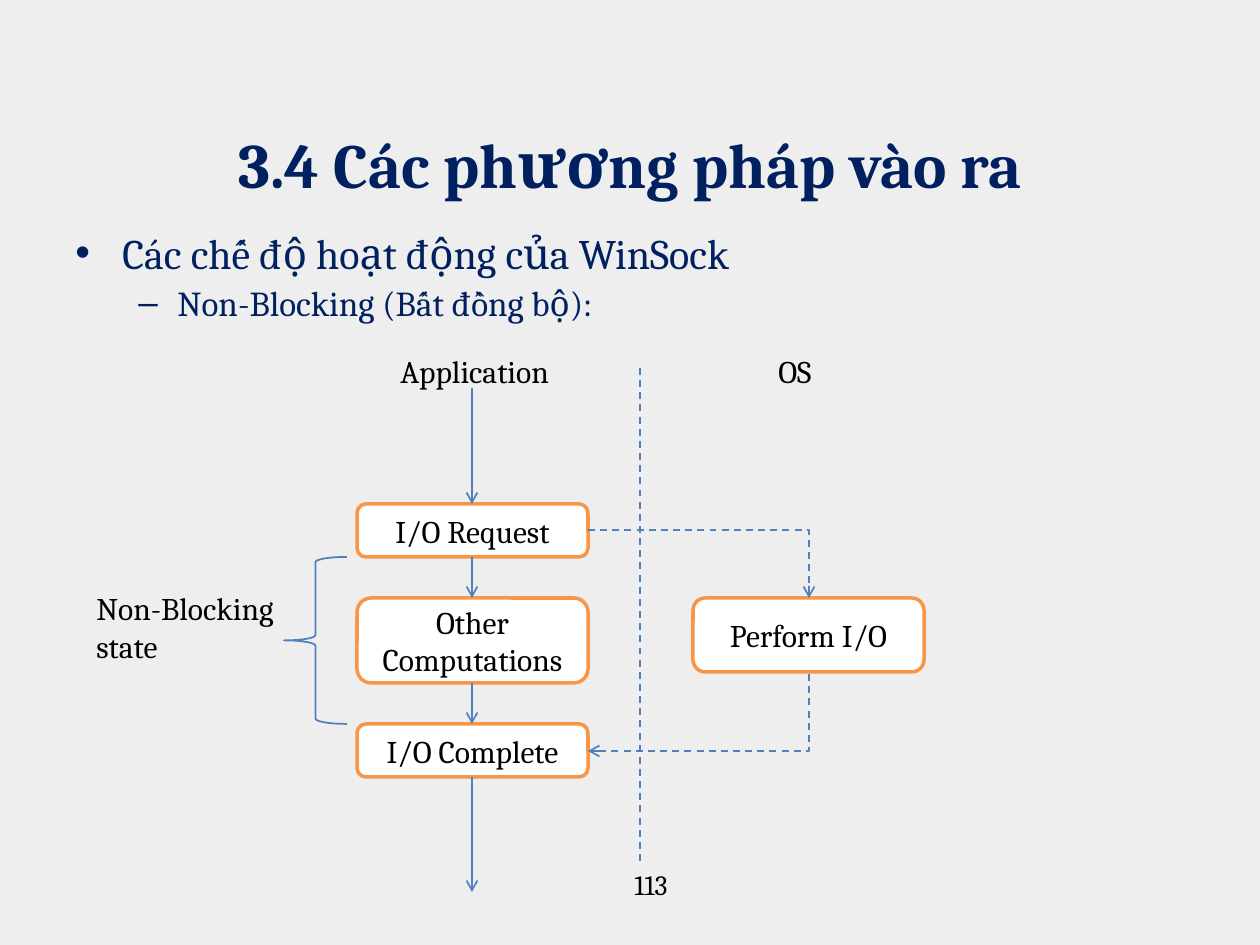
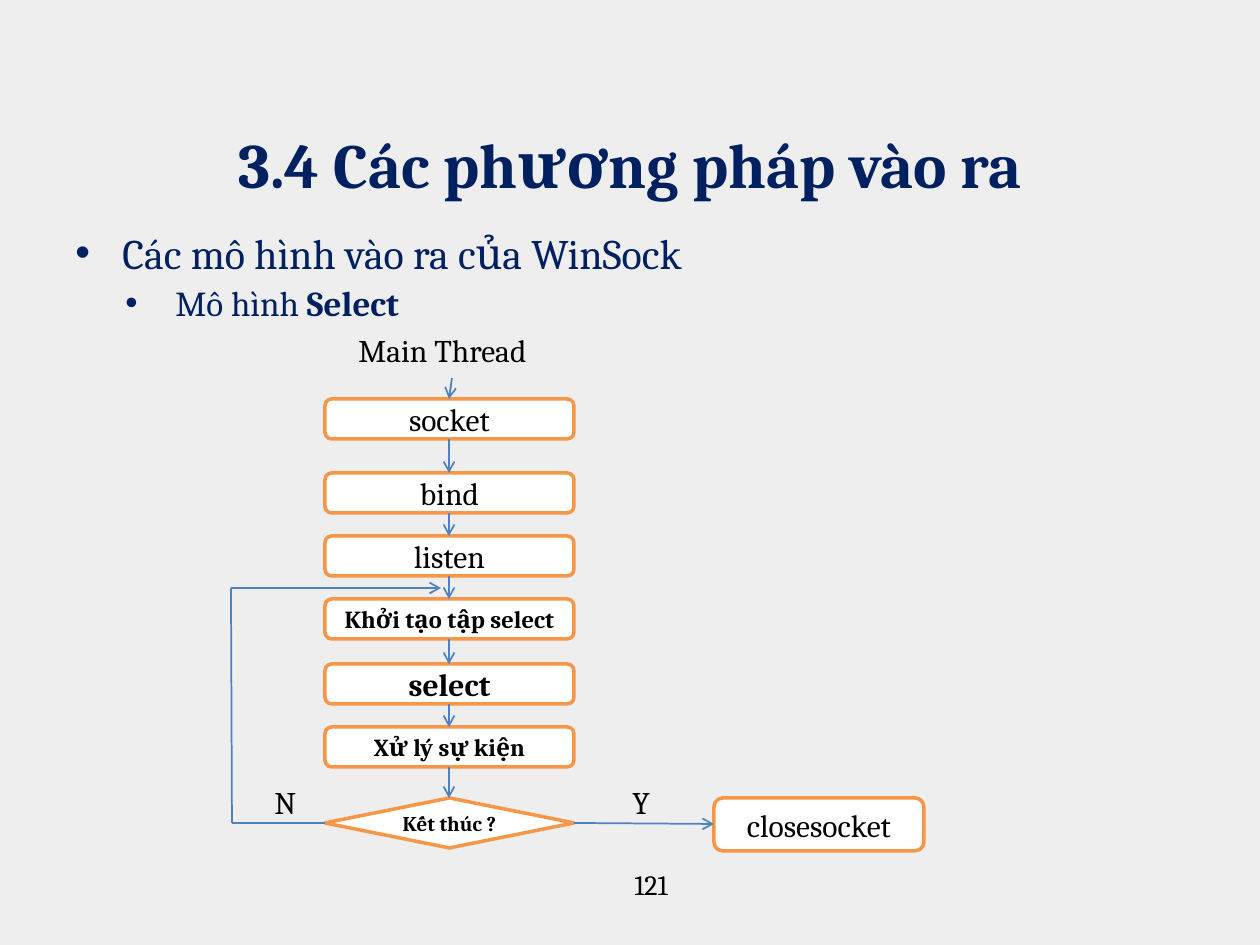
from lxml import etree
from pptx import Presentation
from pptx.dml.color import RGBColor
from pptx.enum.dml import MSO_LINE
from pptx.enum.shapes import MSO_CONNECTOR, MSO_SHAPE
from pptx.enum.text import MSO_ANCHOR, PP_ALIGN
from pptx.oxml.ns import qn
from pptx.util import Pt

PX = 7257  # EMU in one px, 126 px to the inch
FONT = "Cambria"
TITLE = "3.4 Các phương pháp vào ra"
COLORS = {
    "background": "EEEEEE",
    "heading": "002060",
    "text": "000000",
    "box": "FFFFFF",
    "box_line": "F79646",
    "connector": "4F81BD",
}
RGB = {name: RGBColor.from_string(value) for name, value in COLORS.items()}
ROUNDED, DIAMOND, BRACE = MSO_SHAPE.ROUNDED_RECTANGLE, MSO_SHAPE.DIAMOND, MSO_SHAPE.LEFT_BRACE
STRAIGHT, ELBOW = MSO_CONNECTOR.STRAIGHT, MSO_CONNECTOR.ELBOW
LEFT, CENTER = PP_ALIGN.LEFT, PP_ALIGN.CENTER
TOP, MIDDLE, BOTTOM = MSO_ANCHOR.TOP, MSO_ANCHOR.MIDDLE, MSO_ANCHOR.BOTTOM


def write_text(shape, text, size, align=LEFT, anchor=TOP, bold=False, color="text"):
    frame = shape.text_frame
    frame.word_wrap = True
    frame.vertical_anchor = anchor
    frame.text = text
    for paragraph in frame.paragraphs:
        paragraph.alignment = align
        paragraph.font.name = FONT
        paragraph.font.size = Pt(size)
        paragraph.font.bold = bold
        paragraph.font.color.rgb = RGB[color]


def connect(slide, start, end, arrow="tailEnd", dashed=False, kind=STRAIGHT):
    connector = slide.shapes.add_connector(kind, *(n * PX for n in start + end))
    connector.line.color.rgb = RGB["connector"]
    connector.line.width = Pt(1)
    if dashed:
        connector.line.dash_style = MSO_LINE.DASH
    properties = connector._element.spPr
    if kind == ELBOW:  # one bend only
        properties.find(qn("a:prstGeom")).set("prst", "bentConnector2")
    if arrow:
        etree.SubElement(properties.find(qn("a:ln")), qn("a:" + arrow), type="arrow")
    etree.SubElement(properties, qn("a:effectLst"))


# Slide contents: bullets are (runs, size, bullet, margin, indent),
# steps and side boxes are (shape, top, height, text, size, bold)
non_blocking = {
    "number": "113",
    "bullets": [
        (["Các chế độ hoạt động của WinSock"], 24, "•", 47, -47),
        (["Non-Blocking (Bất đồng bộ):"], 20, "–", 102, -39),
    ],
    "column": (357, 231),
    "steps": [
        (ROUNDED, 504, 53, "I/O Request", 18, False),
        (ROUNDED, 598, 85, "Other\nComputations", 18, False),
        (ROUNDED, 724, 53, "I/O Complete", 18, False),
    ],
    "side_column": (693, 231),
    "side_box": (ROUNDED, 598, 74, "Perform I/O", 18, False),
    "labels": [
        (84, 583, 221, 90, "Non-Blocking state"),
        (388, 346, 221, 51, "Application"),
        (766, 346, 116, 51, "OS"),
    ],
    "lines": [
        {"start": (472, 388), "end": (472, 504)},
        {"start": (472, 777), "end": (472, 892)},
        {"start": (640, 368), "end": (640, 861), "arrow": None, "dashed": True},
        {"start": (588, 530), "end": (809, 598), "dashed": True, "kind": ELBOW},
        {"start": (588, 751), "end": (809, 672), "arrow": "headEnd", "dashed": True, "kind": ELBOW},
    ],
}
select_model = {
    "number": "121",
    "bullets": [
        (["Các mô hình vào ra của WinSock"], 24, "•", 47, -47),
        (["Mô hình ", "Select"], 20, "•", 100, -50),
    ],
    "column": (325, 249),
    "steps": [
        (ROUNDED, 399, 40, "socket", 18, False),
        (ROUNDED, 473, 40, "bind", 18, False),
        (ROUNDED, 536, 40, "listen", 18, False),
        (ROUNDED, 599, 40, "Khởi tạo tập select", 14, True),
        (ROUNDED, 664, 40, "select", 18, True),
        (ROUNDED, 727, 40, "Xử lý sự kiện", 14, True),
        (DIAMOND, 798, 50, "Kết thúc ?", 12, True),
    ],
    "side_column": (714, 210),
    "side_box": (ROUNDED, 798, 53, "closesocket", 18, False),
    "labels": [
        (346, 325, 273, 51, "Main Thread"),
        (262, 777, 63, 51, "N"),
        (620, 777, 63, 51, "Y"),
    ],
    "lines": [
        {"start": (452, 378), "end": (449, 399)},
        {"start": (325, 823), "end": (232, 823), "arrow": None},
        {"start": (232, 823), "end": (231, 588), "arrow": None},
        {"start": (231, 588), "end": (441, 588)},
        {"start": (574, 823), "end": (714, 824)},
    ],
}

presentation = Presentation()
presentation.slide_width = 1260 * PX
presentation.slide_height = 945 * PX

for content in (non_blocking, select_model):
    slide = presentation.slides.add_slide(presentation.slide_layouts[6])
    slide.background.fill.solid()
    slide.background.fill.fore_color.rgb = RGB["background"]

    # Title and page number
    title = slide.shapes.add_textbox(63 * PX, 49 * PX, 1134 * PX, 158 * PX)
    write_text(title, TITLE, 36, CENTER, BOTTOM, True, "heading")
    number = slide.shapes.add_textbox(105 * PX, 861 * PX, 1092 * PX, 66 * PX)
    write_text(number, content["number"], 16, CENTER)

    # Bullets
    body = slide.shapes.add_textbox(63 * PX, 221 * PX, 1134 * PX, 624 * PX)
    body.text_frame.word_wrap = True
    for level, (runs, size, bullet, margin, indent) in enumerate(content["bullets"]):
        paragraph = body.text_frame.add_paragraph() if level else body.text_frame.paragraphs[0]
        properties = paragraph._p.get_or_add_pPr()
        properties.set("marL", str(margin * PX))
        properties.set("indent", str(indent * PX))
        etree.SubElement(properties, qn("a:buFont"), typeface="Arial")
        etree.SubElement(properties, qn("a:buChar"), char=bullet)
        paragraph.level = level
        if level:
            paragraph.space_before = Pt(2)
        paragraph.font.name = FONT
        paragraph.font.size = Pt(size)
        paragraph.font.color.rgb = RGB["heading"]
        for index, text in enumerate(runs):
            run = paragraph.add_run()
            run.text = text
            if index:
                run.font.bold = True

    # Flow boxes in the main column, and the one beside it
    boxes = [(content["column"], step) for step in content["steps"]]
    boxes.append((content["side_column"], content["side_box"]))
    for (left, width), (kind, top, height, text, size, bold) in boxes:
        box = slide.shapes.add_shape(kind, left * PX, top * PX, width * PX, height * PX)
        box.shadow.inherit = False
        box.fill.solid()
        box.fill.fore_color.rgb = RGB["box"]
        box.line.color.rgb = RGB["box_line"]
        box.line.width = Pt(2)
        write_text(box, text, size, CENTER, MIDDLE, bold)

    # Arrows from each step to the next, then the other lines
    left, width = content["column"]
    center = left + width // 2
    for upper, lower in zip(content["steps"], content["steps"][1:]):
        connect(slide, (center, upper[1] + upper[2]), (center, lower[1]))
    for line in content["lines"]:
        connect(slide, **line)

    # Labels
    for left, top, width, height, text in content["labels"]:
        label = slide.shapes.add_textbox(left * PX, top * PX, width * PX, height * PX)
        write_text(label, text, 18)

# Brace around the non-blocking state
brace = presentation.slides[0].shapes.add_shape(BRACE, 284 * PX, 557 * PX, 63 * PX, 167 * PX)
brace.shadow.inherit = False
brace.fill.background()
brace.line.color.rgb = RGB["connector"]
brace.line.width = Pt(1)

presentation.save("out.pptx")
